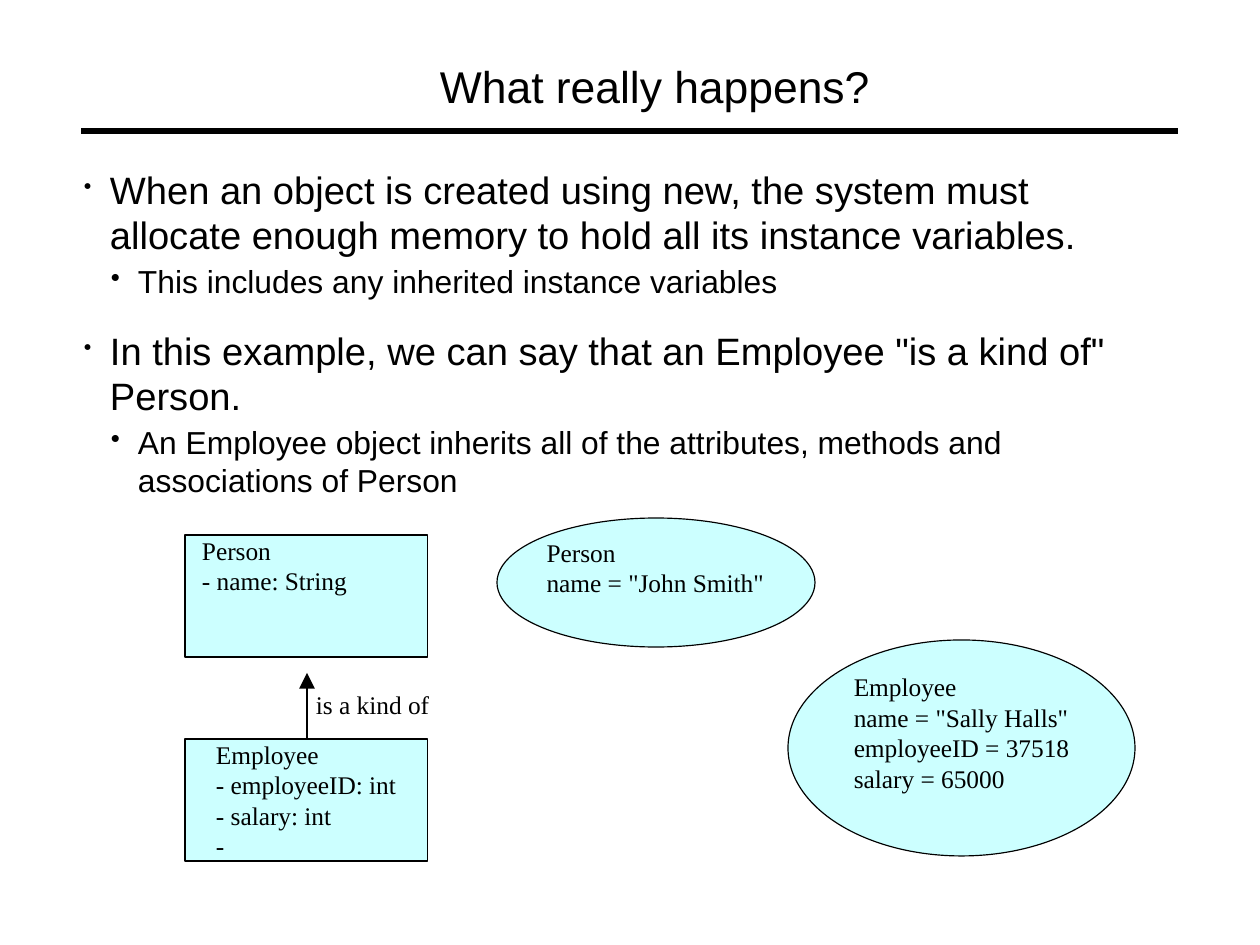
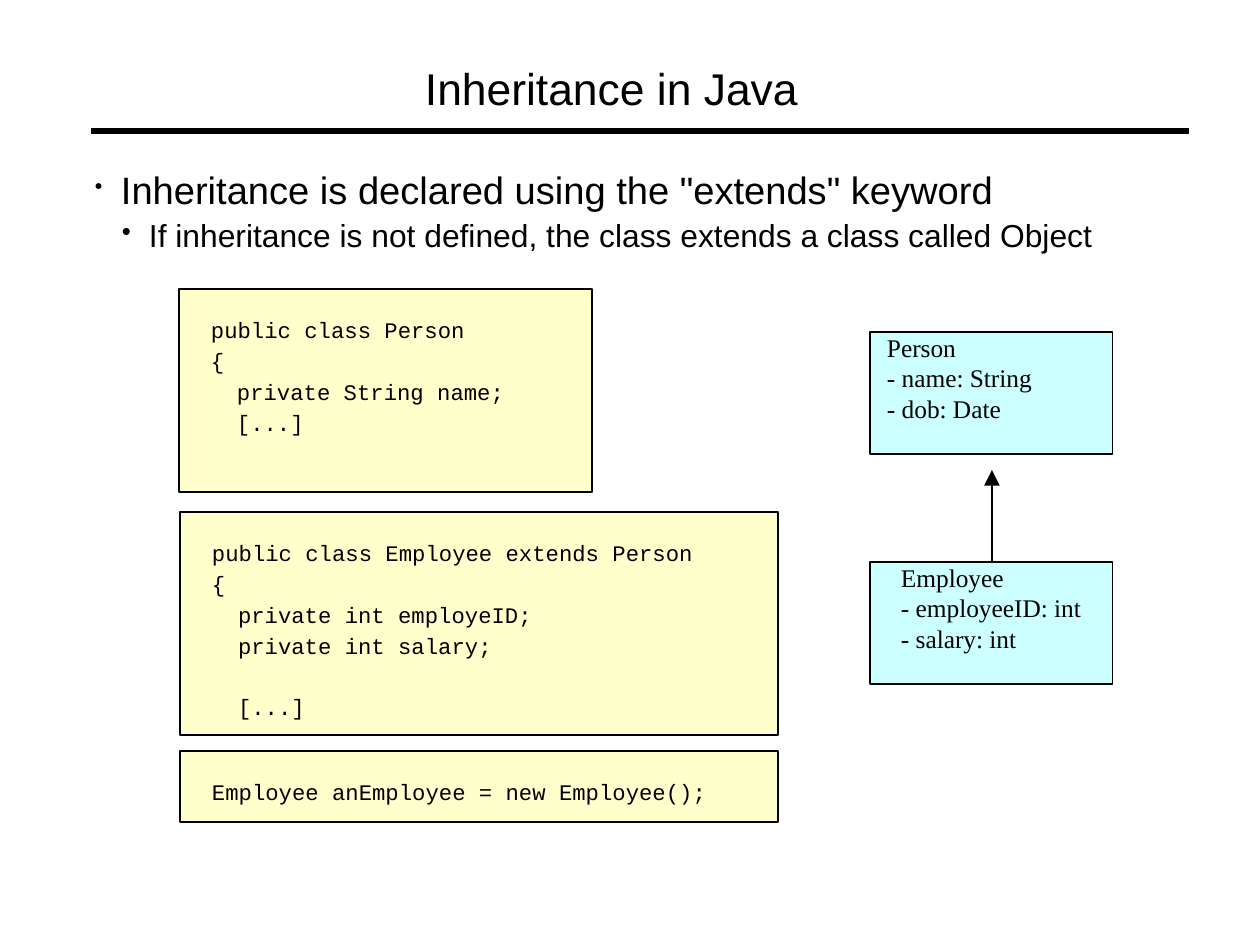
from lxml import etree
from pptx import Presentation
from pptx.dml.color import RGBColor
from pptx.enum.shapes import MSO_CONNECTOR, MSO_SHAPE
from pptx.enum.text import MSO_ANCHOR, PP_ALIGN
from pptx.oxml.ns import qn
from pptx.util import Pt

RECTANGLE, ELLIPSE = MSO_SHAPE.RECTANGLE, MSO_SHAPE.OVAL
STRAIGHT, TOP, LEFT = MSO_CONNECTOR.STRAIGHT, MSO_ANCHOR.TOP, PP_ALIGN.LEFT
PX = 8000
PAGE_SIZE = (1260, 945)
COLORS = {"ink": "000000", "uml": "CCFFFF", "code": "FFFFCC"}
SANS, SERIF, MONO = "Arial", "Times New Roman", "Courier New"
PARAGRAPH_GAP, TOPIC_GAP, CODE_GAP = 2.8, 17.1, 21.5
RULE_WIDTH, RULE_TOP, BODY_TOP, BODY_WIDTH = 4.31, 131, 166, 1071
UML_WIDTH, UML_HEIGHT = 243, 122
CODE_INDENT = 26
LEVELS = (
    {"size": 24, "indent": 26, "hanging": 26, "bullet": 59},
    {"size": 20, "indent": 54, "hanging": 27, "bullet": 85},
)

SLIDES = [
    {
        "title": ("What really happens?", 440, 59),
        "rule": (81, 1178),
        "body_place": (84, 334),
        "body": [
            (0, "When an object is created using new, the system must "
                "allocate enough memory to hold all its instance variables.", PARAGRAPH_GAP),
            (1, "This includes any inherited instance variables", PARAGRAPH_GAP),
            (0, 'In this example, we can say that an Employee "is a kind of" Person.', TOPIC_GAP),
            (1, "An Employee object inherits all of the attributes, methods and "
                "associations of Person", PARAGRAPH_GAP),
        ],
        "classes_left": 185,
        "classes": [
            (535, 17, ["Person", "- name: String"]),
            (739, 31, ["Employee", "- employeeID: int", "- salary: int", "-"]),
        ],
        "arrow_tip": 673,
        "arrow_label": ("is a kind of", 316, 689),
        "objects": [
            ((497, 518, 318, 129), 3, ["Person", 'name = "John Smith"']),
            ((788, 640, 347, 216), 15, ["Employee", 'name = "Sally Halls"',
                                        "employeeID = 37518", "salary = 65000"]),
        ],
    },
    {
        "title": ("Inheritance in Java", 425, 61),
        "rule": (91, 1189),
        "body_place": (95, 130),
        "body": [
            (0, 'Inheritance is declared using the "extends" keyword', PARAGRAPH_GAP),
            (1, "If inheritance is not defined, the class extends a class called Object",
             PARAGRAPH_GAP),
        ],
        "classes_left": 870,
        "classes": [
            (332, 17, ["Person", "- name: String", "- dob: Date"]),
            (562, 31, ["Employee", "- employeeID: int", "- salary: int"]),
        ],
        "arrow_tip": 470,
        "code": [
            ((179, 289, 413, 203), [
                (0, "public class Person", PARAGRAPH_GAP),
                (0, "{", PARAGRAPH_GAP),
                (1, "private String name;", PARAGRAPH_GAP),
                (1, "[...]", PARAGRAPH_GAP),
            ]),
            ((180, 512, 598, 223), [
                (0, "public class Employee extends Person", PARAGRAPH_GAP),
                (0, "{", PARAGRAPH_GAP),
                (1, "private int employeID;", PARAGRAPH_GAP),
                (1, "private int salary;", PARAGRAPH_GAP),
                (1, "[...]", CODE_GAP),
            ]),
            ((180, 751, 598, 71), [
                (0, "Employee anEmployee = new Employee();", PARAGRAPH_GAP),
            ]),
        ],
    },
]


def px(*lengths):
    return [length * PX for length in lengths]


def color(name):
    return RGBColor.from_string(COLORS[name])


def add_text(box, paragraphs, font, margins=(0, 0)):
    frame = box.text_frame
    frame.word_wrap = True
    frame.vertical_anchor = TOP
    frame.margin_left, frame.margin_top = px(*margins)
    frame.margin_right = frame.margin_bottom = 0
    for index, (text, style) in enumerate(paragraphs):
        para = frame.paragraphs[0] if index == 0 else frame.add_paragraph()
        para.alignment = LEFT
        para.space_before = Pt(style.get("before", 0))
        span = para.add_run()
        span.text = text
        span.font.name = font
        span.font.size = Pt(style["size"])
        span.font.color.rgb = color("ink")
        properties = para._p.get_or_add_pPr()
        properties.set("marL", str(style.get("indent", 0) * PX))
        properties.set("indent", str(-style.get("hanging", 0) * PX))
        if "bullet" in style:
            bullet_color = etree.SubElement(properties, qn("a:buClr"))
            etree.SubElement(bullet_color, qn("a:srgbClr"), val=COLORS["ink"])
            etree.SubElement(properties, qn("a:buSzPct"), val=str(style["bullet"] * 1000))
            etree.SubElement(properties, qn("a:buChar"), char="•")


def add_text_box(page, place, paragraphs, font):
    add_text(page.shapes.add_textbox(*px(*place)), paragraphs, font)


def add_panel(page, kind, place, fill, paragraphs, font, margins):
    panel = page.shapes.add_shape(kind, *px(*place))
    panel.shadow.inherit = False
    panel.fill.solid()
    panel.fill.fore_color.rgb = color(fill)
    panel.line.color.rgb = color("ink")
    panel.line.width = Pt(0.75)
    add_text(panel, paragraphs, font, margins)


def add_line(page, start, end, width, arrow=False):
    line = page.shapes.add_connector(STRAIGHT, *px(*start, *end))
    line.line.color.rgb = color("ink")
    line.line.width = Pt(width)
    if arrow:
        etree.SubElement(line.line._get_or_add_ln(), qn("a:tailEnd"),
                         type="triangle", w="lg", len="lg")
    etree.SubElement(line._element.spPr, qn("a:effectLst"))


def uml_lines(lines):
    return [(line, {"size": 16}) for line in lines]


def add_frame(page, content):
    rule_left, rule_right = content["rule"]
    add_line(page, (rule_left, RULE_TOP), (rule_right, RULE_TOP), RULE_WIDTH)
    title, left, top = content["title"]
    add_text_box(page, (left, top, 523, 54), [(title, {"size": 28})], SANS)
    body = [(text, {**LEVELS[level], "before": gap})
            for level, text, gap in content["body"]]
    body_left, body_height = content["body_place"]
    add_text_box(page, (body_left, BODY_TOP, BODY_WIDTH, body_height), body, SANS)


def add_classes(page, content):
    left = content["classes_left"]
    for top, margin, lines in content["classes"]:
        add_panel(page, RECTANGLE, (left, top, UML_WIDTH, UML_HEIGHT), "uml",
                  uml_lines(lines), SERIF, (margin, 0))
    center = left + UML_WIDTH // 2 + 1
    child_top = content["classes"][-1][0]
    add_line(page, (center, child_top), (center, content["arrow_tip"]), 0.75, arrow=True)
    if "arrow_label" in content:
        label, label_left, label_top = content["arrow_label"]
        add_text_box(page, (label_left, label_top, 126, 31), uml_lines([label]), SERIF)


def main():
    deck = Presentation()
    deck.slide_width, deck.slide_height = px(*PAGE_SIZE)
    for content in SLIDES:
        page = deck.slides.add_slide(deck.slide_layouts[6])
        add_frame(page, content)
        add_classes(page, content)
        for place, margin, lines in content.get("objects", []):
            add_panel(page, ELLIPSE, place, "uml", uml_lines(lines), SERIF, (margin, 0))
        for place, lines in content.get("code", []):
            code = [(text, {"size": 14, "indent": depth * CODE_INDENT, "before": gap})
                    for depth, text, gap in lines]
            add_panel(page, RECTANGLE, place, "code", code, MONO, (32, 27))
    deck.save("out.pptx")


if __name__ == "__main__":
    main()
